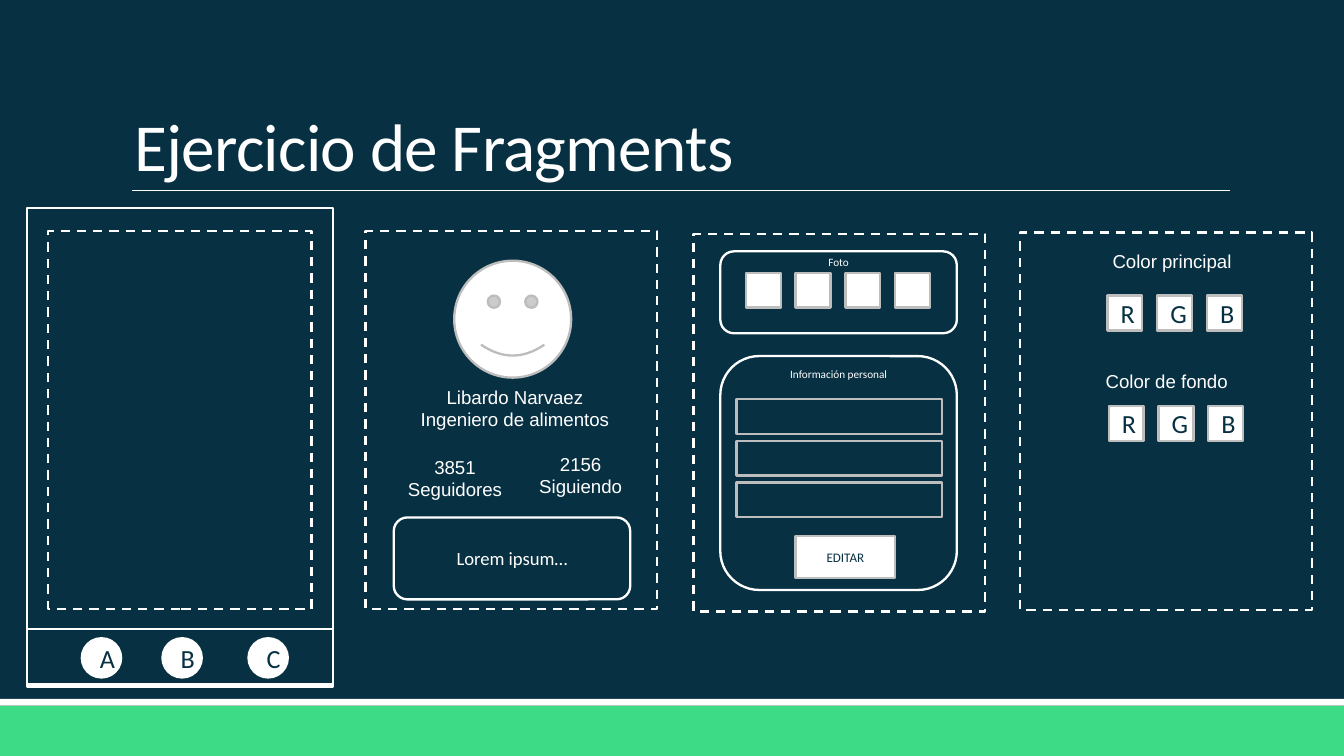
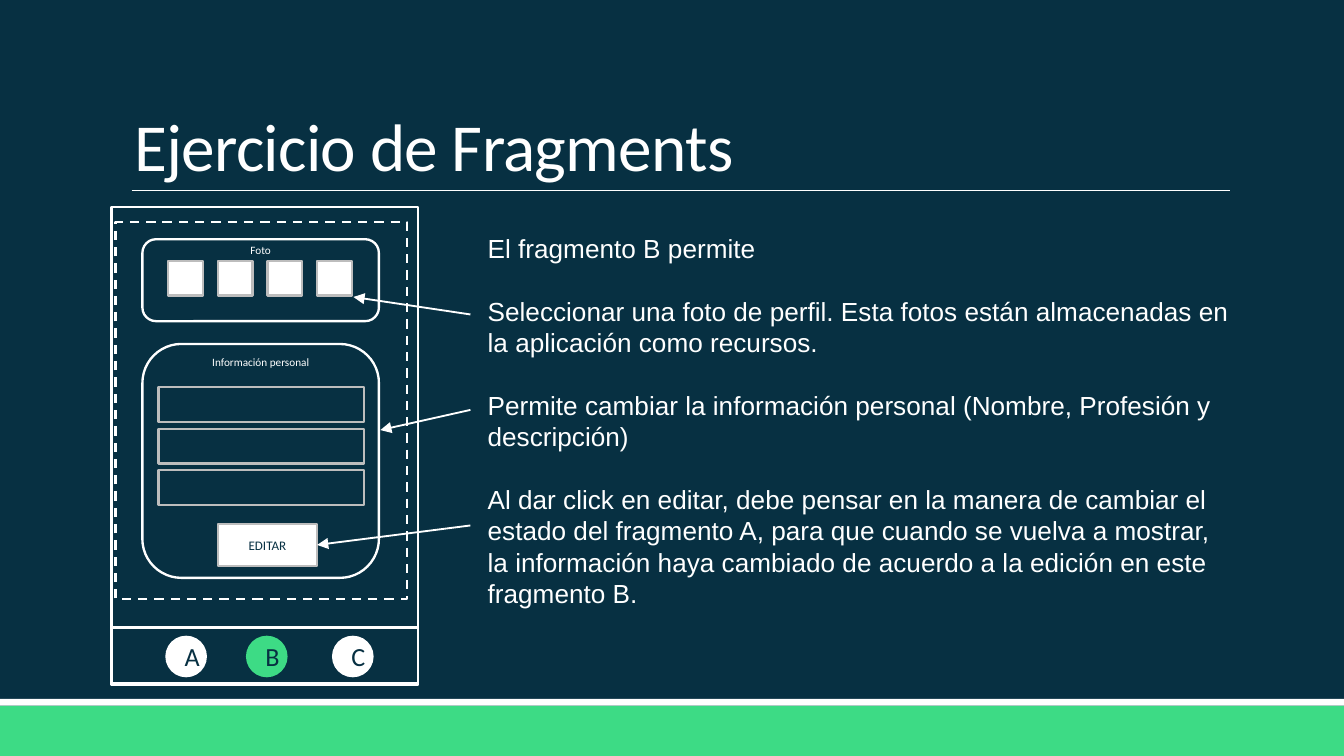
"""Builds two slides that explain a fragments exercise with app wireframes."""
from lxml.etree import SubElement
from pptx import Presentation
from pptx.dml.color import RGBColor
from pptx.enum.dml import MSO_LINE
from pptx.enum.shapes import MSO_CONNECTOR, MSO_SHAPE, PP_PLACEHOLDER
from pptx.enum.text import MSO_ANCHOR, MSO_AUTO_SIZE, PP_ALIGN
from pptx.oxml.ns import qn
from pptx.util import Inches, Pt

NAVY, GREEN, WHITE, GRAY = "073042", "3DDB85", "FFFFFF", "BDBDBD"
WIDTH, HEIGHT = 10, 5.625
BAND_TOP = 5.25
TITLE = "Ejercicio de Fragments"
PANEL_WIDTH, PANEL_HEIGHT = 2.17, 2.81
CARD_WIDTH, TILE, TILE_STEP = 1.76, 0.26, 0.37
FIELD_STEP = 0.31

TABS = [("A", 0.4), ("B", 1.0), ("C", 1.64)]
PROFILE_LABELS = [
    (["Libardo Narvaez", "Ingeniero de alimentos"], (2.79, 2.82, 2.08, 0.44), True),
    (["3851", "Seguidores"], (2.93, 3.34, 0.91, 0.44), False),
    (["2156", "Siguiendo"], (3.91, 3.32, 0.82, 0.44), False),
]
COLOR_PICKERS = [
    ("Color principal", (7.68, 1.81), (8.24, 2.2)),
    ("Color de fondo", (7.64, 2.7), (8.25, 3.02)),
]
EXPLANATION = [
    "El fragmento B permite",
    "Seleccionar una foto de perfil. Esta fotos están almacenadas en la aplicación como recursos.",
    "Permite cambiar la información personal (Nombre, Profesión y descripción)",
    "Al dar click en editar, debe pensar en la manera de cambiar el estado del fragmento A, "
    "para que cuando se vuelva a mostrar, la información haya cambiado de acuerdo a la edición "
    "en este fragmento B.",
]


def color(value):
    return RGBColor.from_string(value)


def inches(values):
    return [Inches(value) for value in values]


def write(frame, lines, size, font, tint, align=PP_ALIGN.CENTER):
    frame.text = "\n".join(lines)
    for paragraph in frame.paragraphs:
        paragraph.alignment = align
        paragraph.font.size = Pt(size)
        paragraph.font.name = font
        paragraph.font.color.rgb = color(tint)


def add_box(slide, kind, box, fill=None, line=None, text=None, size=14, tint=NAVY, dashed=False):
    shape = slide.shapes.add_shape(kind, *inches(box))
    shape.shadow.inherit = False
    if fill:
        shape.fill.solid()
        shape.fill.fore_color.rgb = color(fill)
    else:
        shape.fill.background()
    if line:
        shape.line.color.rgb = color(line)
        shape.line.width = Pt(1.25)
        if dashed:
            shape.line.dash_style = MSO_LINE.DASH
    else:
        shape.line.fill.background()
    if text:
        write(shape.text_frame, [text], size, "Calibri", tint)
    return shape


def add_label(slide, lines, box, size=10, align=PP_ALIGN.CENTER, wrap=True, gap=0):
    frame = slide.shapes.add_textbox(*inches(box)).text_frame
    frame.word_wrap = wrap
    write(frame, lines, size, "Arial", WHITE, align)
    for paragraph in frame.paragraphs[1:]:
        paragraph.space_before = Pt(gap)


def add_line(slide, start, end, width, arrow=False):
    connector = slide.shapes.add_connector(MSO_CONNECTOR.STRAIGHT, *inches(start + end))
    connector.line.color.rgb = color(WHITE)
    connector.line.width = Pt(width)
    if arrow:
        SubElement(connector.line._get_or_add_ln(), qn("a:tailEnd"), type="triangle")
    SubElement(connector._element.spPr, qn("a:effectLst"))
    return connector


def keep_titles_only(holder):
    for placeholder in list(holder.placeholders):
        if placeholder.placeholder_format.type != PP_PLACEHOLDER.TITLE:
            placeholder._element.getparent().remove(placeholder._element)


def prepare_layout(presentation):
    master = presentation.slide_master
    master.background.fill.solid()
    master.background.fill.fore_color.rgb = color(NAVY)
    title_layout = presentation.slide_layouts.get_by_name("Title Only")
    for layout in list(presentation.slide_layouts):
        if layout != title_layout:
            presentation.slide_layouts.remove(layout)
    keep_titles_only(master)
    keep_titles_only(title_layout)
    return title_layout


def add_base_slide(presentation, layout):
    slide = presentation.slides.add_slide(layout)
    add_box(slide, MSO_SHAPE.RECTANGLE, (0, BAND_TOP, WIDTH, HEIGHT - BAND_TOP), GREEN)
    add_box(slide, MSO_SHAPE.RECTANGLE, (0, BAND_TOP - 0.05, WIDTH, 0.05), WHITE)
    add_line(slide, (0.98, 1.42), (9.15, 1.42), 0.5)
    title = slide.shapes.title
    title.left, title.top, title.width, title.height = inches((0.9, 0.24, 8.25, 1.19))
    frame = title.text_frame
    write(frame, [TITLE], 36, "Calibri", WHITE, PP_ALIGN.LEFT)
    frame.auto_size = MSO_AUTO_SIZE.NONE
    frame.vertical_anchor = MSO_ANCHOR.BOTTOM
    frame.paragraphs[0].line_spacing = 0.85
    frame.paragraphs[0].runs[0].font._element.set("spc", "-40")
    return slide


def add_panel(slide, left, top, width=PANEL_WIDTH):
    add_box(slide, MSO_SHAPE.RECTANGLE, (left, top, width, PANEL_HEIGHT), line=WHITE, dashed=True)


def add_phone(slide, left, top, active=None):
    for offset, height in ((0, 3.54), (3.13, 0.43)):
        add_box(slide, MSO_SHAPE.RECTANGLE, (left, top + offset, 2.28, height), line=WHITE)
    for letter, offset in TABS:
        add_box(slide, MSO_SHAPE.OVAL, (left + offset, top + 3.19, 0.31, 0.31),
                GREEN if letter == active else WHITE, text=letter)


def add_tiles(slide, left, top, letters):
    for column, letter in enumerate(letters):
        add_box(slide, MSO_SHAPE.RECTANGLE, (left + column * TILE_STEP, top, TILE, TILE),
                WHITE, GRAY, letter)


def add_card(slide, left, top, height, heading):
    card = add_box(slide, MSO_SHAPE.ROUNDED_RECTANGLE, (left, top, CARD_WIDTH, height),
                   line=WHITE, text=heading, size=6, tint=WHITE)
    card.text_frame.vertical_anchor = MSO_ANCHOR.TOP
    card.text_frame.margin_top = 0


def add_edit_panel(slide, left, top):
    add_panel(slide, left, top)
    add_card(slide, left + 0.2, top + 0.13, 0.61, "Foto")
    add_tiles(slide, left + 0.39, top + 0.29, [None] * 4)
    add_card(slide, left + 0.2, top + 0.91, 1.74, "Información personal")
    for row in range(3):
        add_box(slide, MSO_SHAPE.RECTANGLE,
                (left + 0.32, top + 1.23 + row * FIELD_STEP, 1.53, TILE), line=GRAY)
    return add_box(slide, MSO_SHAPE.RECTANGLE, (left + 0.76, top + 2.25, 0.74, 0.31),
                   WHITE, GRAY, "EDITAR", 7)


def build_overview(presentation, layout):
    slide = add_base_slide(presentation, layout)
    add_phone(slide, 0.2, 1.55)
    add_panel(slide, 0.36, 1.72, 1.96)
    add_panel(slide, 2.72, 1.72)
    add_box(slide, MSO_SHAPE.SMILEY_FACE, (3.38, 1.94, 0.87, 0.87), WHITE, GRAY)
    for lines, box, wrap in PROFILE_LABELS:
        add_label(slide, lines, box, wrap=wrap)
    add_box(slide, MSO_SHAPE.ROUNDED_RECTANGLE, (2.93, 3.85, CARD_WIDTH, 0.61),
            line=WHITE, text="Lorem ipsum…", size=10, tint=WHITE)
    add_edit_panel(slide, 5.16, 1.74)
    add_panel(slide, 7.59, 1.73)
    for heading, label_corner, tiles_corner in COLOR_PICKERS:
        add_label(slide, [heading], label_corner + (2.08, 0.27))
        add_tiles(slide, *tiles_corner, "RGB")


def build_fragment_b(presentation, layout):
    slide = add_base_slide(presentation, layout)
    add_phone(slide, 0.83, 1.54, active="B")
    edit_button = add_edit_panel(slide, 0.86, 1.65)
    add_label(slide, EXPLANATION, (3.53, 1.68, 5.72, 2.93), 14, PP_ALIGN.LEFT, gap=16.8)
    add_line(slide, (3.5, 2.34), (2.63, 2.21), 1, arrow=True)
    add_line(slide, (3.5, 3.05), (2.83, 3.2), 1, arrow=True)
    edit_arrow = add_line(slide, (3.5, 3.91), (2.37, 4.06), 1, arrow=True)
    edit_arrow.end_connect(edit_button, 3)


def main():
    presentation = Presentation()
    presentation.slide_width, presentation.slide_height = inches((WIDTH, HEIGHT))
    layout = prepare_layout(presentation)
    build_overview(presentation, layout)
    build_fragment_b(presentation, layout)
    presentation.save("out.pptx")


if __name__ == "__main__":
    main()
